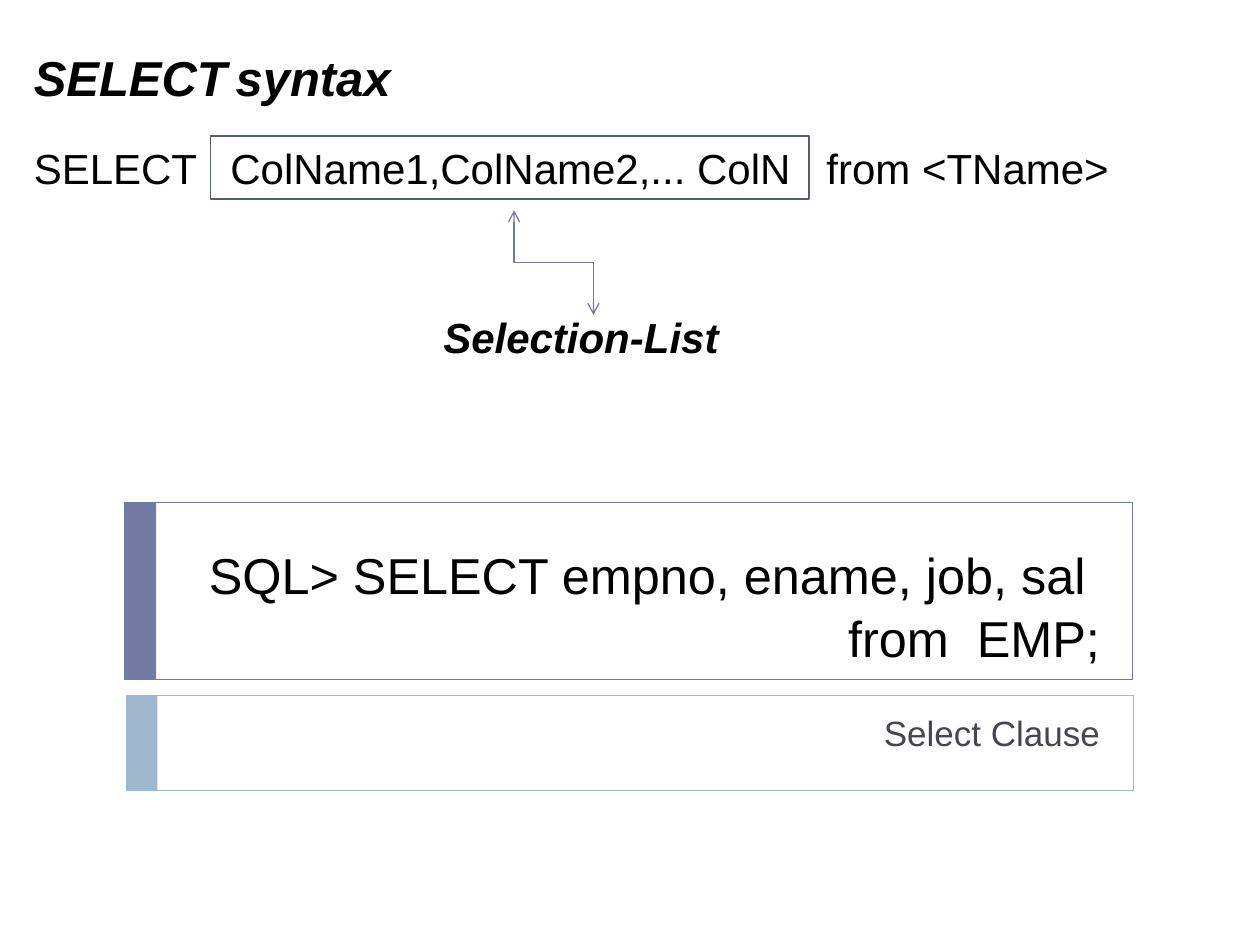
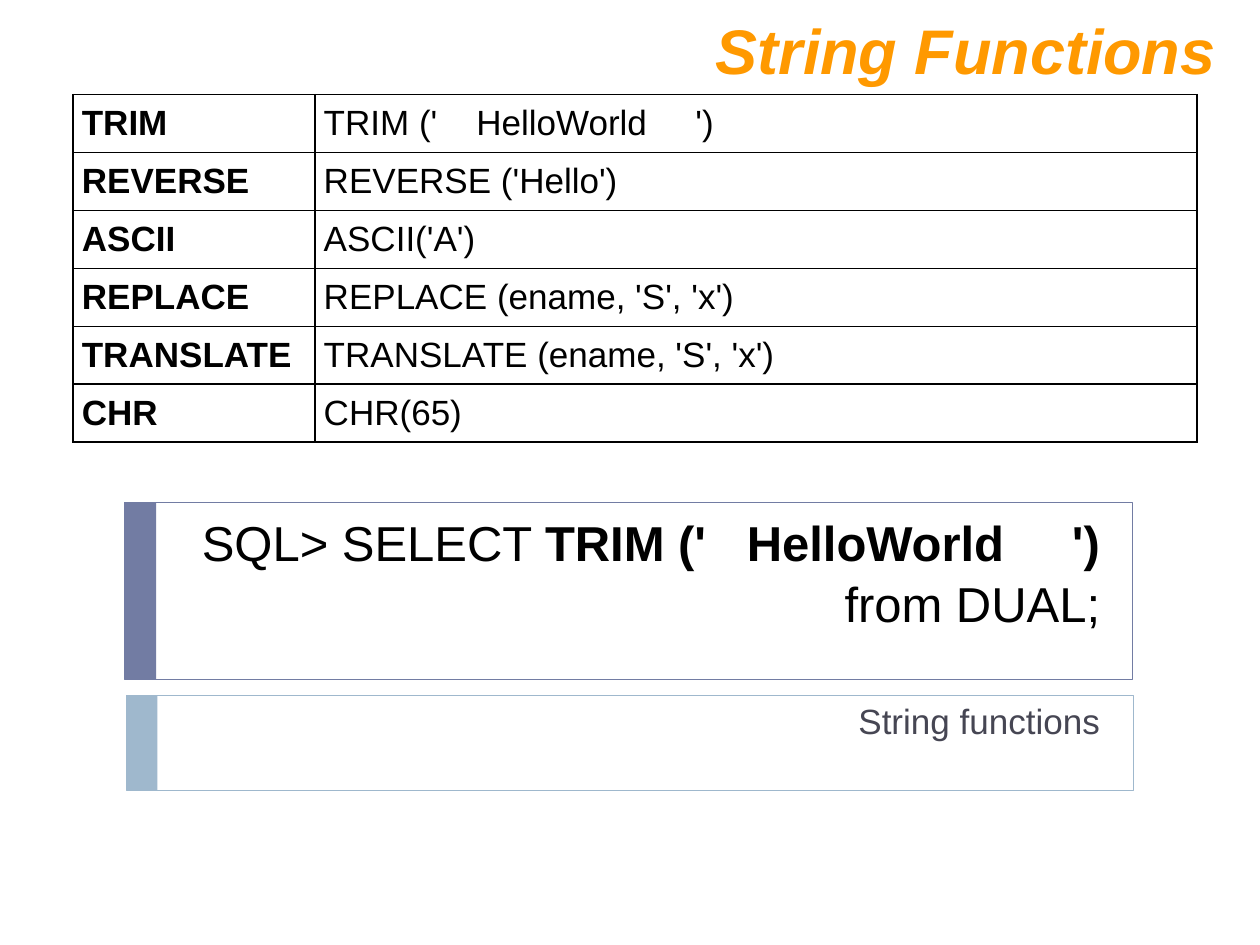
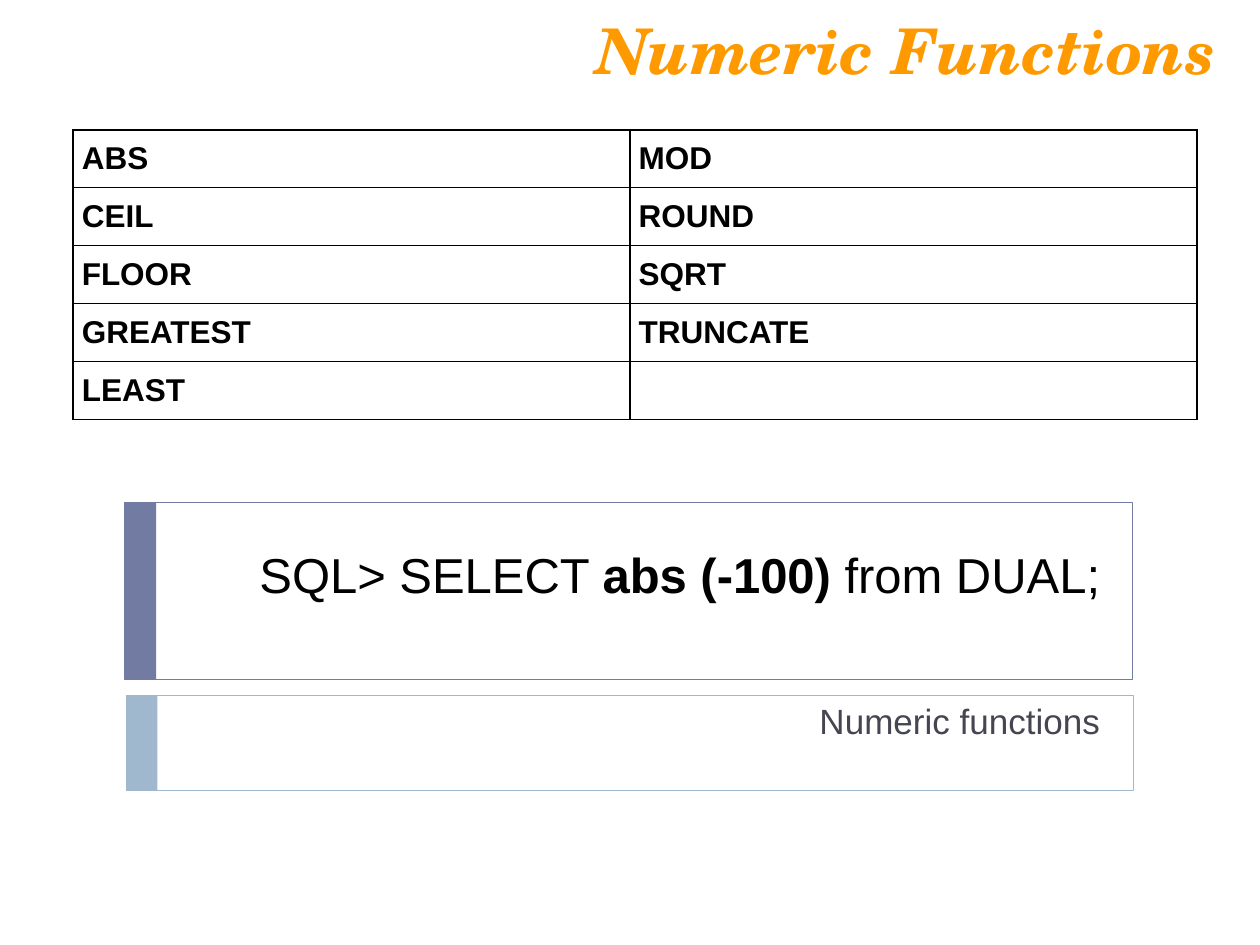
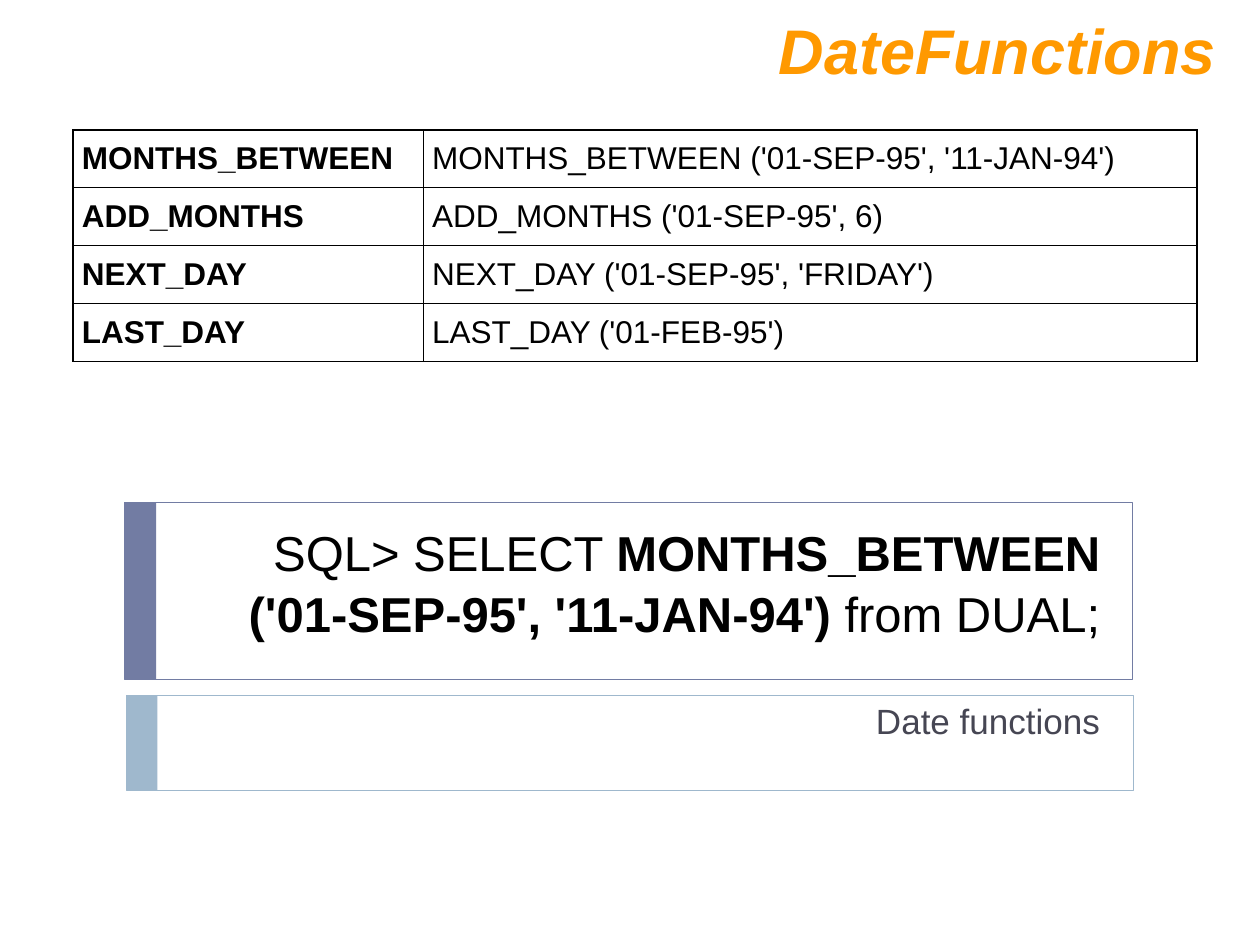
import lxml.etree
import pptx
import pptx.dml.color
import pptx.enum.shapes
import pptx.enum.text
import pptx.oxml.ns
import pptx.util

Inches = pptx.util.Inches
Pt = pptx.util.Pt
RIGHT = pptx.enum.text.PP_ALIGN.RIGHT

COLORS = {
    "black": "000000",
    "indigo": "727CA3",
    "deep_indigo": "545C79",
    "sky": "9FB8CD",
    "slate": "464653",
    "orange": "FF9900",
}
FONT = "Arial"
BLANK_LAYOUT = 6
STATEMENT_FRAME = (0.99, 3.99, 8, 1.4)
CAPTION_FRAME = (1, 5.52, 8, 0.75)
STRIPE_WIDTH = 0.25
TEXT_INDENT = 0.33
TEXT_WIDTH = 7.5
ROW_HEIGHT = 0.46
TABLE_LEFT = 0.58

FUNCTION_PAGES = [
    {
        "title": "String Functions",
        "title_font": FONT,
        "table_top": 0.75,
        "columns": (1.92, 7),
        "cell_size": 20,
        "bold_columns": (0,),
        "rows": [
            ("TRIM", "TRIM ('    HelloWorld     ')"),
            ("REVERSE", "REVERSE ('Hello')"),
            ("ASCII", "ASCII('A')"),
            ("REPLACE", "REPLACE (ename, 'S', 'x')"),
            ("TRANSLATE", "TRANSLATE (ename, 'S', 'x')"),
            ("CHR", "CHR(65)"),
        ],
        "call": "TRIM ('   HelloWorld     ')",
        "statement_top": 4,
        "caption": "String functions",
    },
    {
        "title": "Numeric Functions",
        "title_font": "TeX Gyre Schola",
        "table_top": 1.03,
        "columns": (4.42, 4.5),
        "cell_size": 18,
        "bold_columns": (0, 1),
        "rows": [
            ("ABS", "MOD"),
            ("CEIL", "ROUND"),
            ("FLOOR", "SQRT"),
            ("GREATEST", "TRUNCATE"),
            ("LEAST", ""),
        ],
        "call": "abs (-100)",
        "statement_top": 4.25,
        "caption": "Numeric functions",
    },
    {
        "title": "DateFunctions",
        "title_font": FONT,
        "table_top": 1.03,
        "columns": (2.78, 6.14),
        "cell_size": 18,
        "bold_columns": (0,),
        "rows": [
            ("MONTHS_BETWEEN", "MONTHS_BETWEEN ('01-SEP-95', '11-JAN-94')"),
            ("ADD_MONTHS", "ADD_MONTHS ('01-SEP-95', 6)"),
            ("NEXT_DAY", "NEXT_DAY ('01-SEP-95', 'FRIDAY')"),
            ("LAST_DAY", "LAST_DAY ('01-FEB-95')"),
        ],
        "call": "MONTHS_BETWEEN ('01-SEP-95', '11-JAN-94')",
        "statement_top": 4.08,
        "caption": "Date functions",
    },
]


def color(name):
    return pptx.dml.color.RGBColor.from_string(COLORS[name])


def add_child(parent, tag, **attributes):
    child = lxml.etree.SubElement(parent, pptx.oxml.ns.qn(tag))
    for name, value in attributes.items():
        child.set(name, value)
    return child


def add_span(para, text, size, shade="black", font=FONT, bold=False, italic=False):
    span = para.add_run()
    span.text = text
    span.font.name = font
    span.font.size = Pt(size)
    span.font.bold = bold
    span.font.italic = italic
    span.font.color.rgb = color(shade)


def add_text_box(page, box, align=None, wrap=True):
    frame = page.shapes.add_textbox(*map(Inches, box)).text_frame
    frame.word_wrap = wrap
    para = frame.paragraphs[0]
    para.alignment = align
    return para


def add_rectangle(page, box, fill=None, line=None, weight=0.5):
    shape = page.shapes.add_shape(
        pptx.enum.shapes.MSO_SHAPE.RECTANGLE, *map(Inches, box))
    shape.shadow.inherit = False
    if fill:
        shape.fill.solid()
        shape.fill.fore_color.rgb = color(fill)
    else:
        shape.fill.background()
    if line:
        shape.line.color.rgb = color(line)
        shape.line.width = Pt(weight)
    else:
        shape.line.fill.background()


def add_band(page, box, shade):
    left, top, width, height = box
    add_rectangle(page, box, line=shade)
    add_rectangle(page, (left, top, STRIPE_WIDTH, height), fill=shade)


def add_example_bands(page, statement_top, caption_top, caption):
    add_band(page, STATEMENT_FRAME, "indigo")
    add_band(page, CAPTION_FRAME, "sky")
    left = CAPTION_FRAME[0] + TEXT_INDENT
    statement = add_text_box(page, (left, statement_top, TEXT_WIDTH, 1.08), RIGHT)
    statement.line_spacing = 1.04
    caption_para = add_text_box(page, (left, caption_top, TEXT_WIDTH, 0.58), RIGHT)
    add_span(caption_para, caption, 20, "slate")
    return statement


def add_selection_arrow(page, box):
    left, top, width, height = box
    arrow = page.shapes.add_connector(
        pptx.enum.shapes.MSO_CONNECTOR.ELBOW,
        Inches(left), Inches(top + height), Inches(left + width), Inches(top))
    arrow.line.color.rgb = color("indigo")
    arrow.line.width = Pt(0.75)
    properties = arrow._element.spPr
    properties.xfrm.set("rot", "16200000")
    line = arrow.line._get_or_add_ln()
    add_child(line, "a:headEnd", type="arrow")
    add_child(line, "a:tailEnd", type="arrow")
    add_child(properties, "a:effectLst")


def add_syntax_line(page, box):
    left, top, width, height = box
    para = add_text_box(page, box)
    tabs = add_child(para._p.get_or_add_pPr(), "a:tabLst")
    for stop in (1.56, 6.29):
        add_child(tabs, "a:tab", pos=str(Inches(stop)), algn="l")
    add_span(para, "SELECT\tColName1,ColName2,... ColN\tfrom <TName>", 24)
    add_rectangle(page, (left + 1.5, top, 4.75, height),
                  line="deep_indigo", weight=0.75)


def add_syntax_page(deck):
    page = deck.slides.add_slide(deck.slide_layouts[BLANK_LAYOUT])
    statement = add_example_bands(page, 4.25, 5.6, "Select Clause")
    add_span(statement, "SQL> SELECT empno, ename, job, sal ", 28.8)
    statement.add_line_break()
    add_span(statement, "from  EMP;", 28.8)
    add_syntax_line(page, (0.17, 1.08, 9.42, 0.5))
    label = add_text_box(page, (3.42, 2.42, 2.83, 0.5))
    add_span(label, "Selection-List", 24, bold=True, italic=True)
    add_selection_arrow(page, (3.98, 1.77, 0.83, 0.63))
    heading = add_text_box(page, (0.17, 0.33, 3.11, 0.57), wrap=False)
    for text, size in (("SELECT", 28), (" ", 18), ("syntax", 28)):
        add_span(heading, text, size, bold=True, italic=True)


def style_cell(cell):
    cell.vertical_anchor = pptx.enum.text.MSO_ANCHOR.MIDDLE
    cell.margin_left = cell.margin_right = Inches(0.07)
    cell.margin_top = cell.margin_bottom = 0
    properties = cell._tc.get_or_add_tcPr()
    for side in ("L", "R", "T", "B"):
        border = add_child(properties, "a:ln" + side, w=str(Pt(1)))
        fill = add_child(border, "a:solidFill")
        add_child(fill, "a:srgbClr", val=COLORS["black"])
    cell.fill.background()


def add_function_table(page, left, top, columns, rows, size, bold_columns):
    table = page.shapes.add_table(
        len(rows), len(columns), Inches(left), Inches(top),
        Inches(sum(columns)), Inches(ROW_HEIGHT * len(rows))).table
    table.first_row = table.horz_banding = False
    for column, width in zip(table.columns, columns):
        column.width = Inches(width)
    for row_index, texts in enumerate(rows):
        table.rows[row_index].height = Inches(ROW_HEIGHT)
        for column_index, text in enumerate(texts):
            cell = table.cell(row_index, column_index)
            style_cell(cell)
            if text:
                add_span(cell.text_frame.paragraphs[0], text, size,
                         bold=column_index in bold_columns)


def add_function_page(deck, content):
    page = deck.slides.add_slide(deck.slide_layouts[BLANK_LAYOUT])
    statement = add_example_bands(
        page, content["statement_top"], 5.5, content["caption"])
    add_span(statement, "SQL> SELECT ", 28)
    add_span(statement, content["call"], 28, bold=True)
    add_span(statement, " from DUAL;", 28)
    title = add_text_box(page, (0.25, 0.04, 9.5, 0.71), RIGHT)
    add_span(title, content["title"], 36, "orange", content["title_font"],
             bold=True, italic=True)
    add_function_table(page, TABLE_LEFT, content["table_top"], content["columns"],
                       content["rows"], content["cell_size"],
                       content["bold_columns"])


def main():
    deck = pptx.Presentation()
    deck.slide_width = Inches(10)
    deck.slide_height = Inches(7.5)
    add_syntax_page(deck)
    for content in FUNCTION_PAGES:
        add_function_page(deck, content)
    deck.save("out.pptx")


if __name__ == "__main__":
    main()
